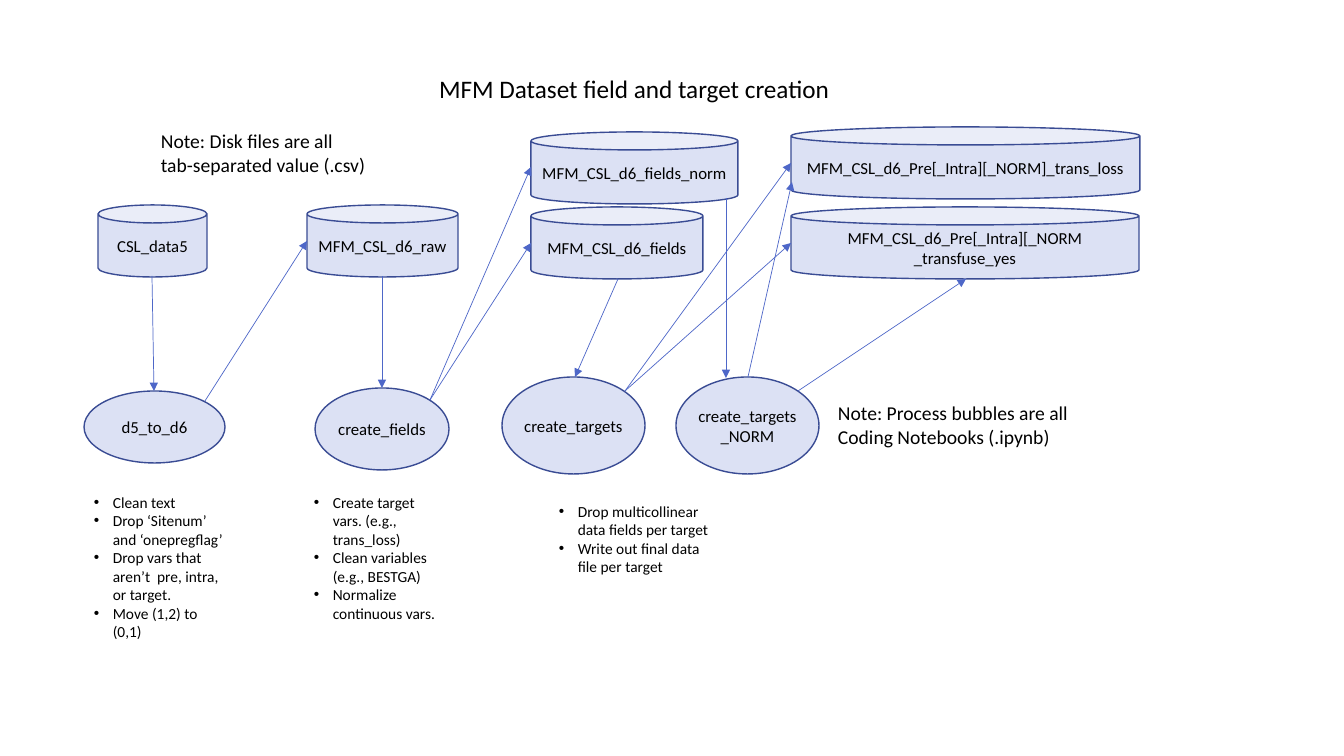
import lxml.etree
import pptx
import pptx.dml.color
import pptx.enum.shapes
import pptx.enum.text
import pptx.oxml.ns
import pptx.util

SCALE = 914400 / 100.8
FONT = "Calibri"
COLORS = {"fill": "DCE1F4", "edge": "3A4C94", "arrow": "4E67C8", "text": "000000"}
KINDS = pptx.enum.shapes.MSO_SHAPE
ALIGN = pptx.enum.text.PP_ALIGN
ANCHOR = pptx.enum.text.MSO_ANCHOR
FIT = pptx.enum.text.MSO_AUTO_SIZE.SHAPE_TO_FIT_TEXT

FILES = [
    ("CSL_data5", 0, 78, 109),
    ("MFM_CSL_d6_raw", 209, 78, 151),
    ("MFM_CSL_d6_fields", 433, 80, 172),
    ("MFM_CSL_d6_fields_norm", 433, 5, 207),
    ("MFM_CSL_d6_Pre[_Intra][_NORM _transfuse_yes", 693, 80, 348),
    ("MFM_CSL_d6_Pre[_Intra][_NORM]_trans_loss", 693, 0, 349),
]
STEPS = [
    ("d5_to_d6", 0, 14, 141, 72, (10, 5)),
    ("create_fields", 231, 11, 134, 82, (0, 0)),
    ("create_targets", 418, 0, 143, 97, (0, 5)),
    ("create_targets_NORM", 592, 0, 143, 97, (0, 5)),
]
FLOWS = [
    (152, 276, 154, 391), (205, 401, 307, 241), (382, 276, 382, 388),
    (430, 400, 531, 243), (430, 400, 531, 167), (618, 279, 575, 377),
    (625, 391, 791, 243), (625, 391, 791, 163), (726, 198, 726, 378),
    (798, 391, 966, 279), (748, 377, 792, 182),
]
TASKS = [
    (0, 0, 153, 141, ["Clean text", "Drop ‘Sitenum’ and ‘onepregflag’",
                      "Drop vars that aren’t  pre, intra, or target.",
                      "Move (1,2) to (0,1)"]),
    (220, 0, 153, 122, ["Create target vars. (e.g., trans_loss)",
                        "Clean variables (e.g., BESTGA)",
                        "Normalize continuous vars."]),
    (465, 9, 171, 113, ["Drop multicollinear data fields per target",
                        "Write out final data file per target"]),
]


def px(*sizes):
    """Turn pixels into EMU."""
    return [pptx.util.Emu(round(size * SCALE)) for size in sizes]


def hue(name):
    """Look up a colour by its role."""
    return pptx.dml.color.RGBColor.from_string(COLORS[name])


def add(parent, tag, **attrs):
    """Append one drawing element."""
    lxml.etree.SubElement(parent, pptx.oxml.ns.qn(tag), **attrs)


def write(frame, lines, size, align=ALIGN.LEFT):
    """Fill a text frame with one paragraph per line."""
    frame.text = "\n".join(lines)
    for para in frame.paragraphs:
        para.alignment = align
        para.font.name = FONT
        para.font.size = pptx.util.Pt(size)
        para.font.color.rgb = hue("text")


def node(slide, kind, box, label, inset):
    """Draw one labelled file or process shape."""
    shape = slide.shapes.add_shape(kind, *px(*box))
    shape.shadow.inherit = False
    shape.fill.solid()
    shape.fill.fore_color.rgb = hue("fill")
    shape.line.color.rgb = hue("edge")
    shape.line.width = pptx.util.Pt(1)
    frame = shape.text_frame
    frame.word_wrap = True
    frame.vertical_anchor = ANCHOR.MIDDLE
    frame.margin_left, frame.margin_top = px(*inset)
    frame.margin_right, frame.margin_bottom = px(*inset)
    write(frame, [label], 12, ALIGN.CENTER)


def heading(slide, box):
    """Place and format the slide title."""
    title = slide.shapes.title
    title.left, title.top, title.width, title.height = px(*box)
    frame = title.text_frame
    write(frame, ["MFM Dataset field and target creation"], 18)
    frame.word_wrap = False
    frame.auto_size = FIT
    frame.vertical_anchor = ANCHOR.TOP


def files(slide, left, top):
    """Draw the disk files as cans."""
    for label, x, y, wide in FILES:
        node(slide, KINDS.CAN, (left + x, top + y, wide, 72), label, (10, 5))


def steps(slide, left, top):
    """Draw the processes as bubbles."""
    for label, x, y, wide, high, inset in STEPS:
        node(slide, KINDS.OVAL, (left + x, top + y, wide, high), label, inset)


def flows(slide, left, top):
    """Draw the arrows between files and processes."""
    for x, y, end, base in FLOWS:
        arrow = slide.shapes.add_connector(
            pptx.enum.shapes.MSO_CONNECTOR.STRAIGHT,
            *px(left + x, top + y, left + end, top + base))
        arrow.line.color.rgb = hue("arrow")
        arrow.line.width = pptx.util.Pt(0.5)
        props = arrow.element.spPr
        add(props.find(pptx.oxml.ns.qn("a:ln")), "a:tailEnd", type="triangle")
        add(props, "a:effectLst")


def tasks(slide, left, top):
    """Write the bulleted task lists."""
    for x, y, wide, high, lines in TASKS:
        frame = slide.shapes.add_textbox(*px(left + x, top + y, wide, high)).text_frame
        frame.word_wrap = True
        frame.auto_size = FIT
        write(frame, lines, 11)
        for para in frame.paragraphs:
            props = para._p.get_or_add_pPr()
            props.set("marL", "171450")
            props.set("indent", "-171450")
            add(props, "a:buFont", typeface="Arial")
            add(props, "a:buChar", char="•")
            props.append(props.find(pptx.oxml.ns.qn("a:defRPr")))


def note(slide, box, lines):
    """Write one two-line note."""
    frame = slide.shapes.add_textbox(*px(*box)).text_frame
    frame.word_wrap = False
    frame.auto_size = FIT
    write(frame, lines, 14)


def main():
    """Build and save the slide."""
    deck = pptx.Presentation()
    deck.slide_width, deck.slide_height = px(1344, 756)
    slide = deck.slides.add_slide(deck.slide_layouts[5])
    heading(slide, (429, 68, 415, 40))
    files(slide, 98, 127)
    steps(slide, 84, 377)
    flows(slide, 0, 0)
    tasks(slide, 84, 488)
    note(slide, (151, 124, 229, 57),
         ["Note: Disk files are all", "tab-separated value (.csv)"])
    note(slide, (828, 396, 253, 57),
         ["Note: Process bubbles are all", "Coding Notebooks (.ipynb)"])
    deck.save("out.pptx")


main()
